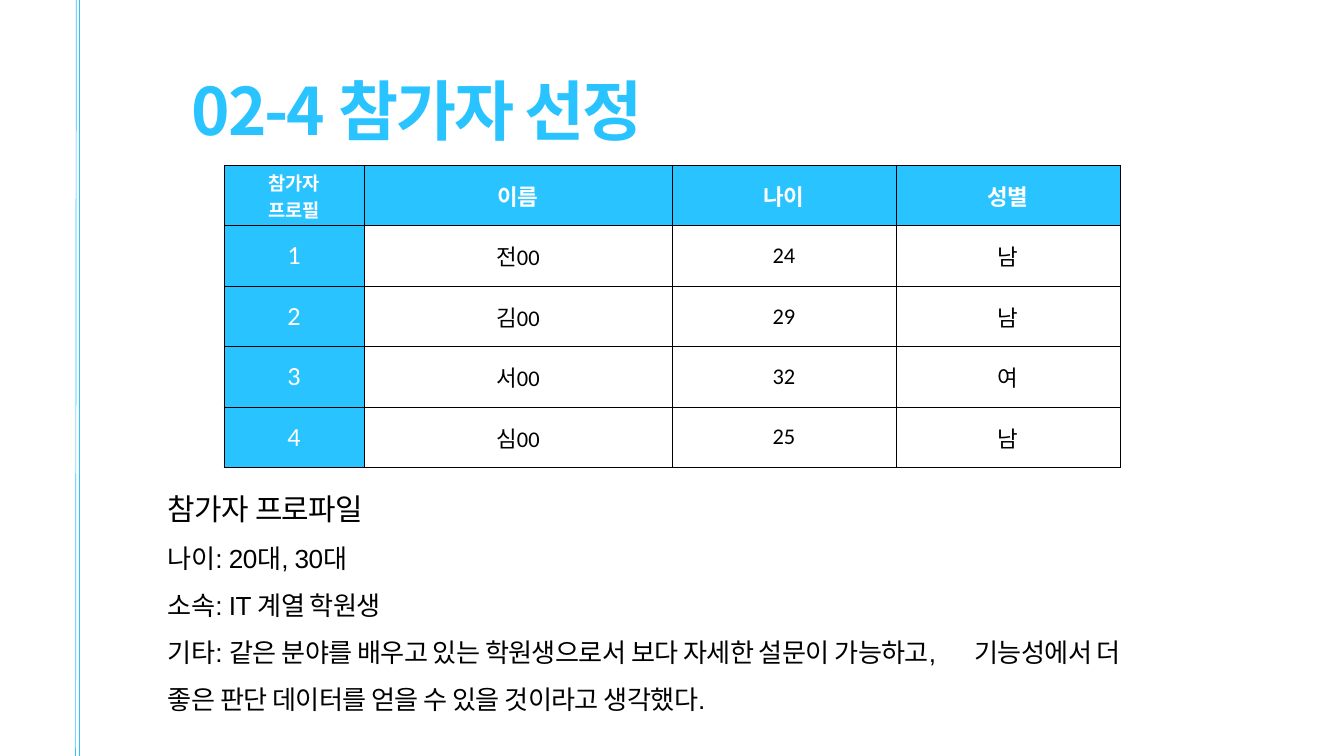
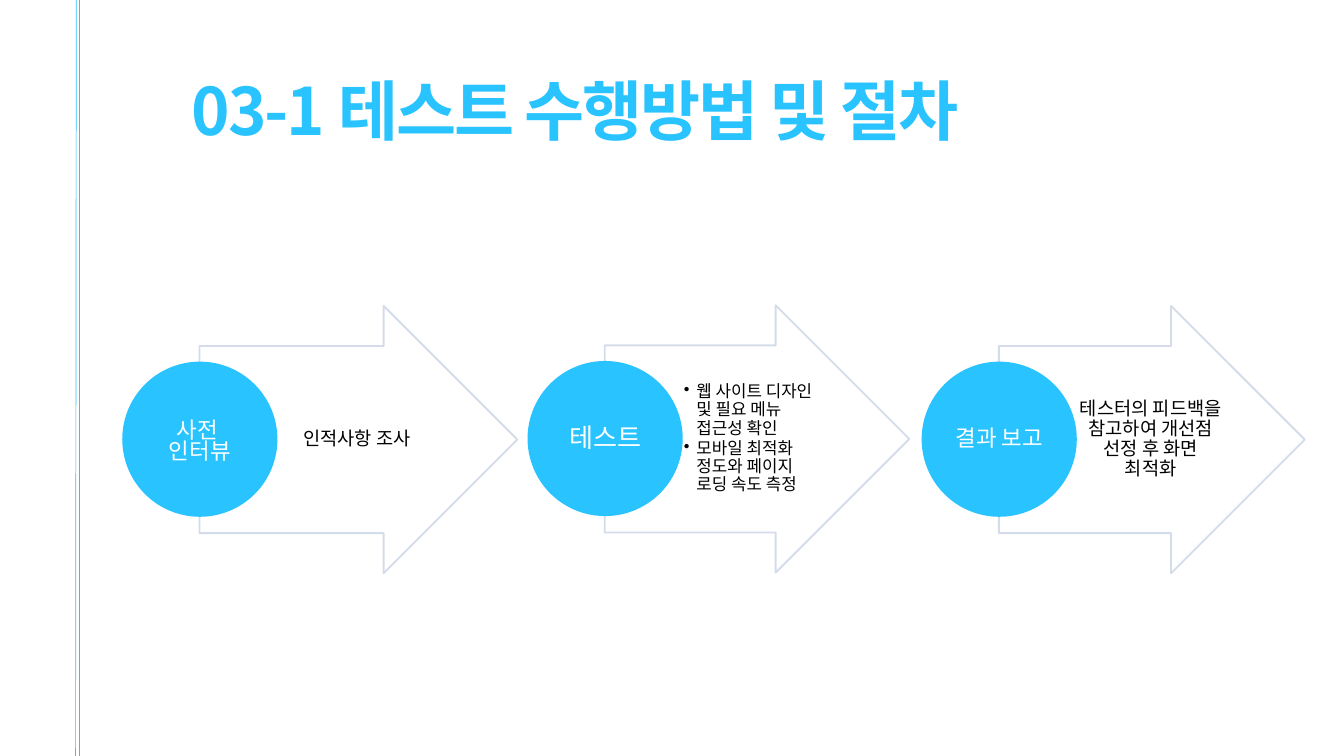
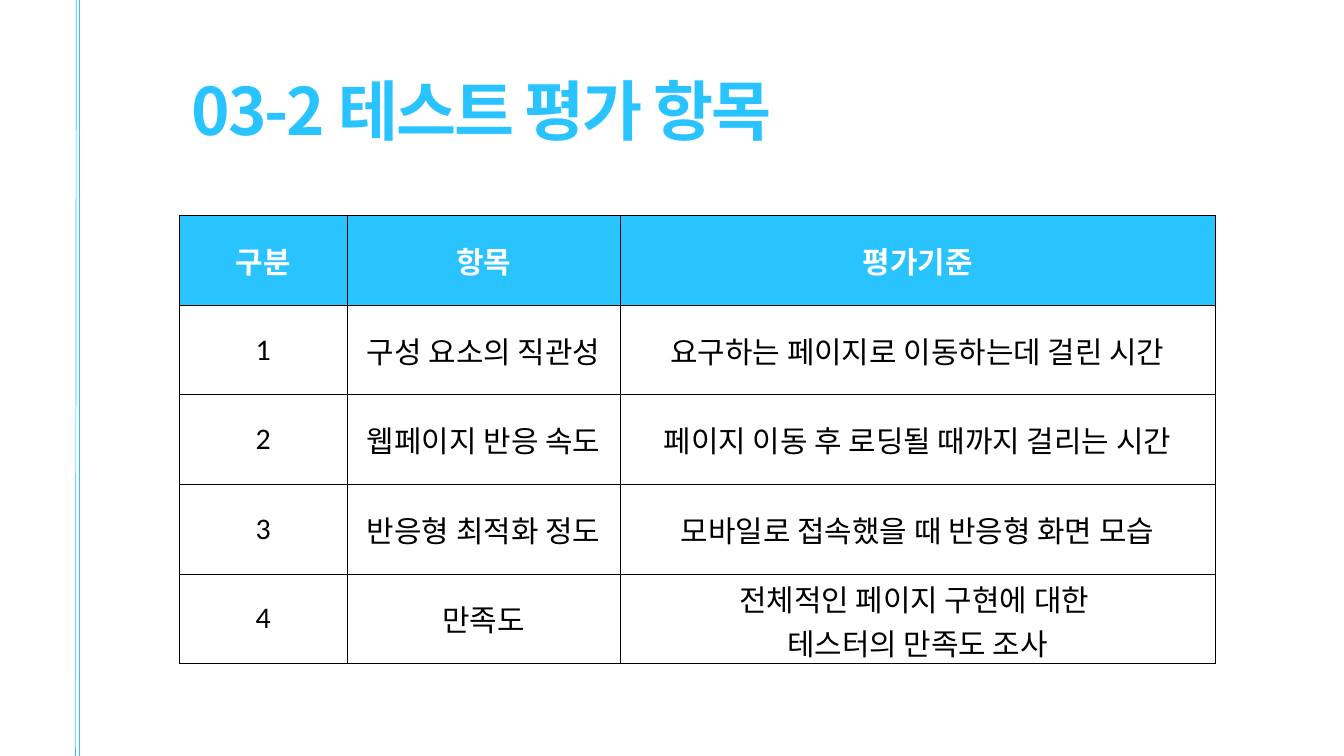
import pptx
import pptx.dml.color
import pptx.enum.shapes
import pptx.enum.text
import pptx.oxml
import pptx.oxml.ns
import pptx.util
from lxml import etree

RGBColor = pptx.dml.color.RGBColor
MSO_SHAPE = pptx.enum.shapes.MSO_SHAPE
PP_ALIGN = pptx.enum.text.PP_ALIGN
MSO_ANCHOR = pptx.enum.text.MSO_ANCHOR
Pt = pptx.util.Pt
qn = pptx.oxml.ns.qn

# Shared look
SKY = RGBColor(0x29, 0xC3, 0xFF)
WHITE = RGBColor(0xFF, 0xFF, 0xFF)
BLACK = RGBColor(0, 0, 0)
PALE = RGBColor(0xD0, 0xD8, 0xE8)
HANGUL_FONT = "Noto Sans CJK KR"
TABLE_FONT = "Calibri"
BODY_FONT = "Arial"

# Lengths are px at 96 to the inch
SLIDE_W, SLIDE_H = 1920, 1080
CIRCLE = 219
CIRCLE_PAD = 32


def px(length):
    return pptx.util.Emu(round(length * 9525))


def style_font(paragraph, face, size, color, bold=False, tracking=0):
    font = paragraph.font
    font.name = face
    font.size = Pt(size)
    font.bold = bold
    font.color.rgb = color
    props = paragraph._p.pPr.find(qn("a:defRPr"))
    etree.SubElement(props, qn("a:ea")).set("typeface", HANGUL_FONT)
    if tracking:
        props.set("spc", str(round(tracking * 100)))


def add_bullet(paragraph):
    paragraph.level = 1
    props = paragraph._p.get_or_add_pPr()
    props.set("marL", str(px(18)))
    props.set("indent", str(px(-18)))
    etree.SubElement(props, qn("a:buChar")).set("char", "•")


def add_paragraphs(frame, lines):
    """Fill an empty text frame and give its paragraphs."""
    frame.text = "\n".join(lines)
    return frame.paragraphs


def add_text_frame(shapes, box, insets=(0, 0, 0, 0)):
    frame = shapes.add_textbox(*map(px, box)).text_frame
    frame.word_wrap = True
    (frame.margin_left, frame.margin_top,
     frame.margin_right, frame.margin_bottom) = map(px, insets)
    return frame


def add_rule(slide, bottom_x, top_x):
    rule = slide.shapes.add_connector(
        pptx.enum.shapes.MSO_CONNECTOR.STRAIGHT,
        px(bottom_x), px(SLIDE_H), px(top_x), px(0))
    rule.line.color.rgb = SKY
    rule.line.width = Pt(0.75)
    etree.SubElement(rule._element.spPr, qn("a:effectLst"))


def add_titled_slide(deck, title, title_width=1309):
    slide = deck.slides.add_slide(deck.slide_layouts[6])
    add_rule(slide, 108, 109)
    add_rule(slide, 114, 114)
    frame = add_text_frame(slide.shapes, (274, 44, title_width, 151))
    frame.auto_size = pptx.enum.text.MSO_AUTO_SIZE.SHAPE_TO_FIT_TEXT
    heading = add_paragraphs(frame, [title])[0]
    heading.line_spacing = Pt(126)
    style_font(heading, HANGUL_FONT, 70, SKY, True, -2.2)
    return slide


# Tables
def add_borders(cell):
    props = cell._tc.get_or_add_tcPr()
    for side in ("lnL", "lnR", "lnT", "lnB"):
        line = etree.SubElement(props, qn("a:" + side), w=str(Pt(1)))
        fill = etree.SubElement(line, qn("a:solidFill"))
        etree.SubElement(fill, qn("a:srgbClr")).set("val", str(BLACK))


def add_grid(slide, left, top, widths, row_height, rows, size_at, label_column=False):
    table = slide.shapes.add_table(
        len(rows), len(widths), px(left), px(top),
        px(sum(widths)), px(row_height * len(rows))).table
    for column, width in zip(table.columns, widths):
        column.width = px(width)
    for r, row in enumerate(rows):
        table.rows[r].height = px(row_height)
        for c, words in enumerate(row):
            cell = table.cell(r, c)
            shaded = r == 0 or (label_column and c == 0)
            add_borders(cell)
            cell.fill.solid()
            cell.fill.fore_color.rgb = SKY if shaded else WHITE
            cell.vertical_anchor = MSO_ANCHOR.MIDDLE
            for paragraph in add_paragraphs(cell.text_frame, words.split("\n")):
                paragraph.alignment = PP_ALIGN.CENTER
                style_font(paragraph, TABLE_FONT, size_at(r, c),
                           WHITE if shaded else BLACK, r == 0)


def profile_size(row, column):
    if column == 0:
        return 28 if row else 20
    return 24


def add_profile_notes(slide, heading, facts):
    frame = add_text_frame(slide.shapes, (240, 676, 1391, 340))
    frame.auto_size = pptx.enum.text.MSO_AUTO_SIZE.SHAPE_TO_FIT_TEXT
    for i, paragraph in enumerate(add_paragraphs(frame, [heading] + facts)):
        paragraph.line_spacing = 1.5
        style_font(paragraph, BODY_FONT, 28 if i else 32, BLACK, tracking=-0.6)


# Process steps
def add_filled_shape(shapes, preset, box, fill, outline):
    shape = shapes.add_shape(preset, *map(px, box))
    shape.shadow.inherit = False
    shape.fill.solid()
    shape.fill.fore_color.rgb = fill
    shape.line.color.rgb = outline
    shape.line.width = Pt(2)
    return shape


def add_step_text(shapes, box, insets, lines, size, color,
                  spacing=0.9, after=0.35, bulleted=False):
    frame = add_text_frame(shapes, box, insets)
    frame.vertical_anchor = MSO_ANCHOR.MIDDLE
    for paragraph in add_paragraphs(frame, lines):
        paragraph.line_spacing = spacing
        paragraph.space_after = Pt(size * after)
        if bulleted:
            add_bullet(paragraph)
        else:
            paragraph.alignment = PP_ALIGN.CENTER
        style_font(paragraph, TABLE_FONT, size, color)


def add_step(shapes, left, top, width, name, name_size, notes, note_size,
             bulleted=False, name_spacing=0.9, name_insets=(2, 2, 2, 2)):
    arrow = add_filled_shape(shapes, MSO_SHAPE.RIGHT_ARROW,
                             (left, top, width, 382), WHITE, PALE)
    arrow.adjustments[0] = 0.7
    arrow.adjustments[1] = 0.5
    tint = arrow.line._ln.find(".//" + qn("a:srgbClr"))
    etree.SubElement(tint, qn("a:alpha")).set("val", "90000")
    add_step_text(shapes, (left + width // 4, top + 57, round(width * 0.49), 268),
                  (5, 1, 3, 1), notes, note_size, BLACK,
                  after=0.15 if bulleted else 0.35, bulleted=bulleted)

    # The circle is centred on the arrow's tail
    circle_left, circle_top = left - CIRCLE // 2, top + (382 - CIRCLE) // 2
    add_filled_shape(shapes, MSO_SHAPE.OVAL,
                     (circle_left, circle_top, CIRCLE, CIRCLE), SKY, SKY)
    label = CIRCLE - 2 * CIRCLE_PAD
    add_step_text(shapes,
                  (circle_left + CIRCLE_PAD, circle_top + CIRCLE_PAD, label, label),
                  name_insets, name, name_size, WHITE, name_spacing)


def main():
    deck = pptx.Presentation()
    deck.slide_width, deck.slide_height = px(SLIDE_W), px(SLIDE_H)

    # Participants
    participants = add_titled_slide(deck, "02-4 참가자 선정", 1226)
    add_grid(participants, 320, 236, (200, 440, 320, 320), 86.4, [
        ("참가자\n프로필", "이름", "나이", "성별"),
        ("1", "전00", "24", "남"),
        ("2", "김00", "29", "남"),
        ("3", "서00", "32", "여"),
        ("4", "심00", "25", "남"),
    ], profile_size, label_column=True)
    add_profile_notes(participants, "참가자 프로파일", [
        "나이: 20대, 30대",
        "소속: IT 계열 학원생",
        "기타: 같은 분야를 배우고 있는 학원생으로서 보다 자세한 설문이 가능하고, \t"
        "기능성에서 더 좋은 판단 데이터를 얻을 수 있을 것이라고 생각했다.",
    ])

    # Procedure
    procedure = add_titled_slide(deck, "03-1 테스트 수행방법 및 절차")
    steps = procedure.shapes.add_group_shape().shapes
    add_step(steps, 285, 437, 454, ["사전 ", "인터뷰"], 24, ["인적사항 조사"], 20,
             name_spacing=0.5, name_insets=(0, 19, 0, 2))
    add_step(steps, 864, 436, 435, ["테스트"], 28, [
        "웹 사이트 디자인 및 필요 메뉴 접근성 확인",
        "모바일 최적화 정도와 페이지 로딩 속도 측정",
    ], 18, bulleted=True)
    add_step(steps, 1427, 437, 437, ["결과 보고"], 24,
             ["테스터의 피드백을 참고하여 개선점 선정 후 화면 최적화"], 20)

    # Evaluation criteria
    criteria = add_titled_slide(deck, "03-2 테스트 평가 항목")
    add_grid(criteria, 256, 308, (240, 390, 850), 128, [
        ("구분", "항목", "평가기준"),
        ("1", "구성 요소의 직관성", "요구하는 페이지로 이동하는데 걸린 시간"),
        ("2", "웹페이지 반응 속도", "페이지 이동 후 로딩될 때까지 걸리는 시간"),
        ("3", "반응형 최적화 정도", "모바일로 접속했을 때 반응형 화면 모습"),
        ("4", "만족도", "전체적인 페이지 구현에 대한 \n테스터의 만족도 조사"),
    ], lambda row, column: 32)

    deck.save("out.pptx")


if __name__ == "__main__":
    main()
